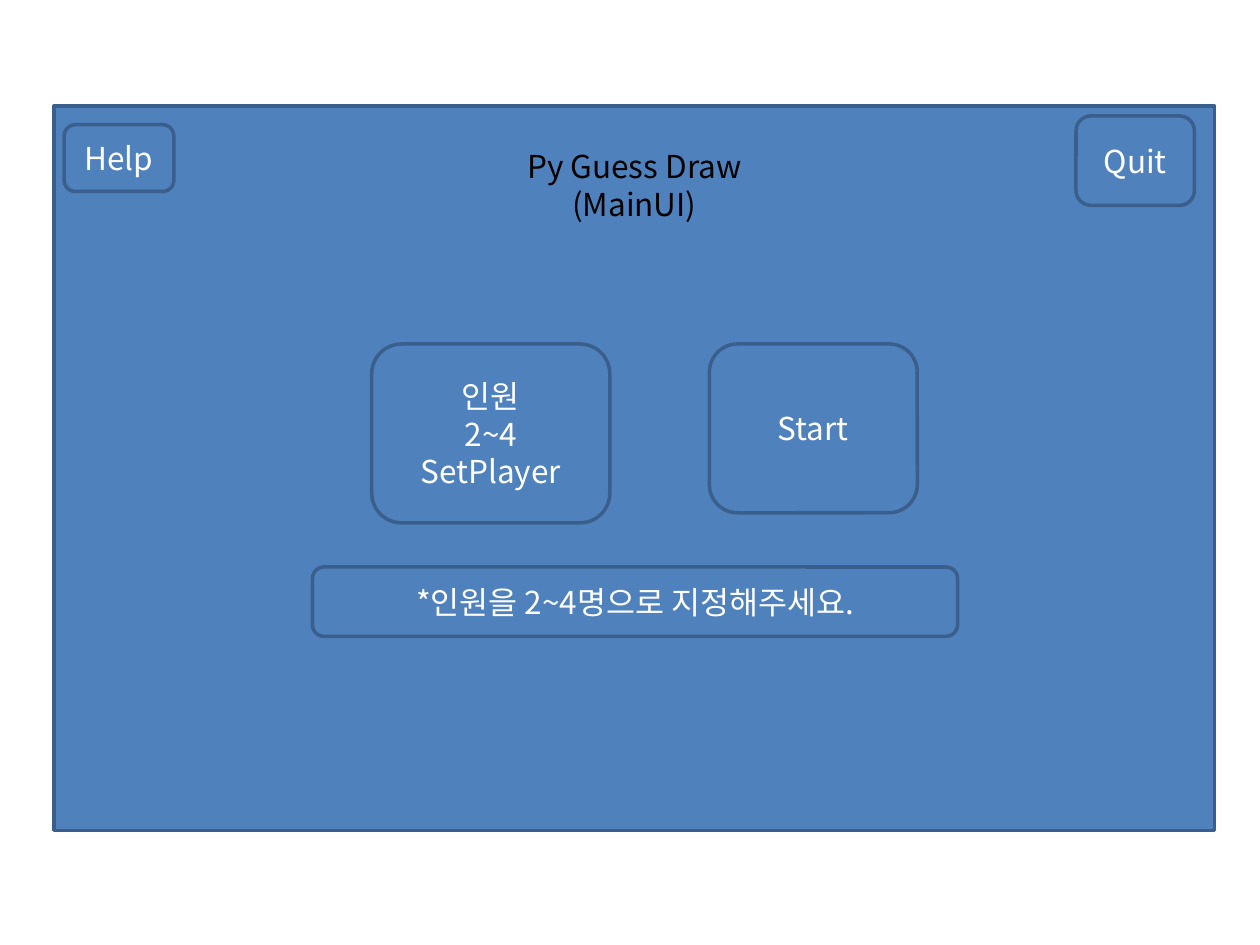
from dataclasses import dataclass

from lxml import etree
from pptx import Presentation
from pptx.dml.color import RGBColor
from pptx.enum.shapes import MSO_SHAPE
from pptx.enum.text import MSO_ANCHOR, PP_ALIGN
from pptx.oxml.ns import qn
from pptx.util import Inches, Pt

RECTANGLE = MSO_SHAPE.RECTANGLE
ROUNDED = MSO_SHAPE.ROUNDED_RECTANGLE
MIDDLE = MSO_ANCHOR.MIDDLE
CENTER = PP_ALIGN.CENTER


@dataclass(frozen=True)
class Theme:
    fill: RGBColor = RGBColor(0x4F, 0x81, 0xBD)
    line: RGBColor = RGBColor(0x3A, 0x5F, 0x8C)
    title: RGBColor = RGBColor(0, 0, 0)
    label: RGBColor = RGBColor(0xFF, 0xFF, 0xFF)
    font: str = "Noto Sans CJK KR"
    text_size: Pt = Pt(18)
    line_width: Pt = Pt(2)


THEME = Theme()


def write_lines(text_frame, lines, color):
    """Write one centred paragraph per line."""
    text_frame.word_wrap = True
    for index, line in enumerate(lines):
        paragraph = text_frame.paragraphs[0] if index == 0 else text_frame.add_paragraph()
        paragraph.text = line
        paragraph.alignment = CENTER
        font = paragraph.font
        font.size = THEME.text_size
        font.name = THEME.font
        font.color.rgb = color
        # Korean letters take the East Asian typeface
        properties = paragraph._p.get_or_add_pPr().get_or_add_defRPr()
        etree.SubElement(properties, qn("a:ea"), typeface=THEME.font)


def add_panel(slide, kind, left, top, width, height):
    shape = slide.shapes.add_shape(
        kind, Inches(left), Inches(top), Inches(width), Inches(height))
    shape.shadow.inherit = False
    shape.fill.solid()
    shape.fill.fore_color.rgb = THEME.fill
    shape.line.color.rgb = THEME.line
    shape.line.width = THEME.line_width
    return shape


def add_button(slide, box, *lines):
    button = add_panel(slide, ROUNDED, *box)
    button.text_frame.vertical_anchor = MIDDLE
    write_lines(button.text_frame, lines, THEME.label)


def add_title(slide, box, *lines):
    left, top, width, height = box
    title = slide.shapes.add_textbox(
        Inches(left), Inches(top), Inches(width), Inches(height))
    write_lines(title.text_frame, lines, THEME.title)


def add_main_window(slide, left, top, width, height):
    """Draw the game's main window with its controls inside the given box."""
    add_panel(slide, RECTANGLE, left, top, width, height)

    # Title bar
    right = left + width
    add_title(slide, (left + 3.19, top + 0.28, 2.83, 0.71), "Py Guess Draw", "(MainUI)")
    add_button(slide, (left + 0.08, top + 0.15, 0.87, 0.53), "Help")
    add_button(slide, (right - 1.1, top + 0.08, 0.94, 0.71), "Quit")

    # Game controls
    controls_top = top + 1.89
    add_button(slide, (left + 2.52, controls_top, 1.89, 1.42), "인원", "2~4", "SetPlayer")
    add_button(slide, (left + 5.2, controls_top, 1.65, 1.34), "Start")

    # Message bar
    add_button(slide, (left + 2.05, top + 3.66, 5.12, 0.55),
               "*인원을 2~4명으로 지정해주세요.")


def main():
    presentation = Presentation()
    presentation.slide_width = Inches(10)
    presentation.slide_height = Inches(7.5)
    slide = presentation.slides.add_slide(presentation.slide_layouts[6])
    add_main_window(slide, 0.43, 0.84, 9.21, 5.75)
    presentation.save("out.pptx")


if __name__ == "__main__":
    main()
